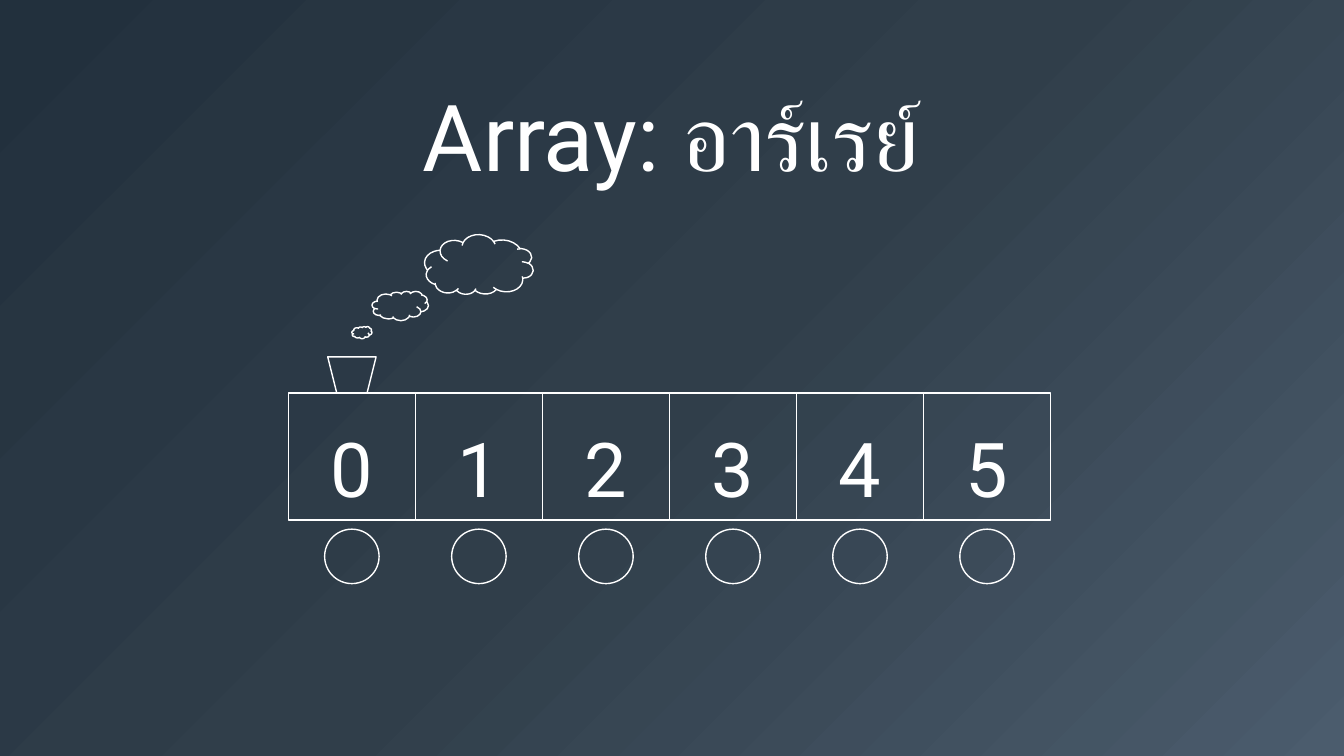
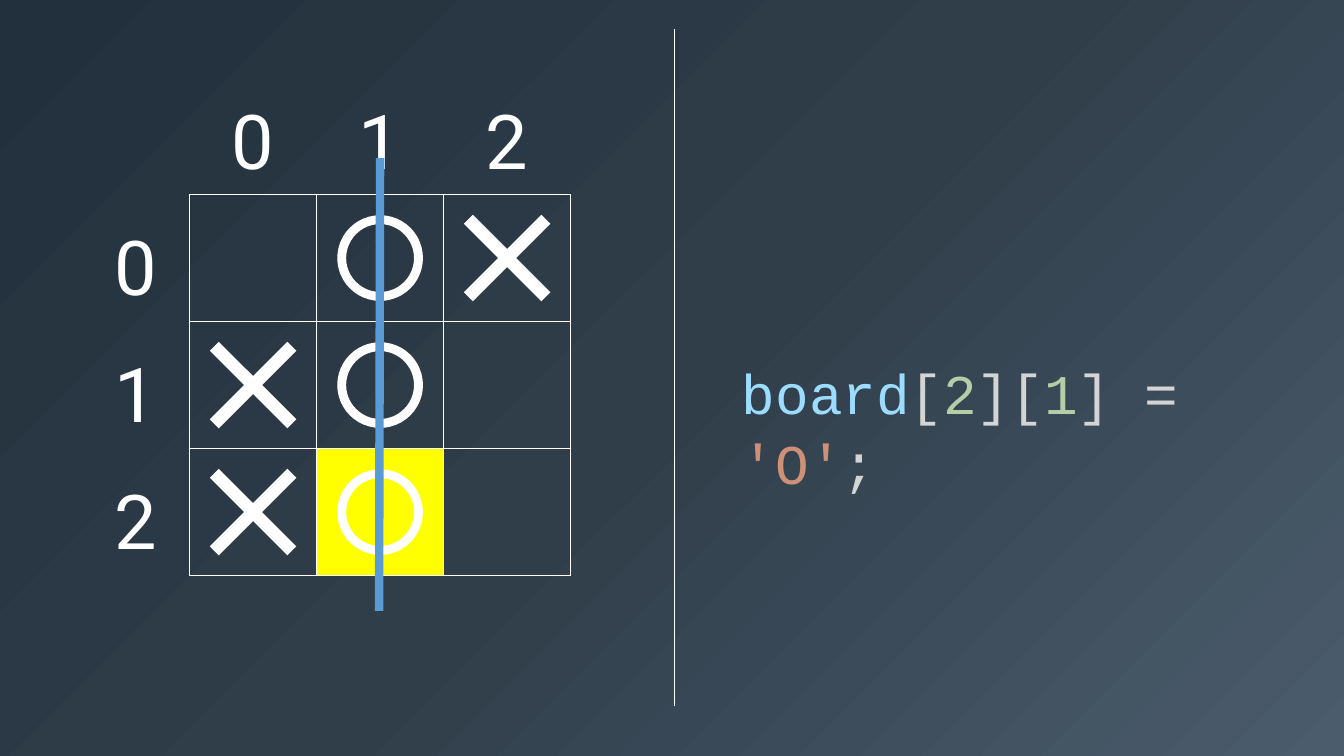
from pptx import Presentation
from pptx.dml.color import RGBColor
from pptx.enum.shapes import MSO_CONNECTOR, MSO_SHAPE
from pptx.enum.text import MSO_ANCHOR, PP_ALIGN
from pptx.oxml import parse_xml
from pptx.oxml.ns import nsdecls, qn
from pptx.util import Inches, Pt
from lxml import etree

# Shared look
WHITE, YELLOW, BLUE = "FFFFFF", "FFFF00", "5B9BD5"
VARIABLE, PUNCT, NUMBER, STRING = "9CDCFE", "D4D4D4", "B5CEA8", "CE9178"
GRADIENT = [(0, "4B5C6D"), (49, "303E4A"), (100, "22303D")]
FONT, CODE_FONT = "Roboto", "Courier New"
CELL = 1.26
DIGIT_W, DIGIT_H = 0.65, 1.01


def color(value):
    return RGBColor.from_string(value)


def set_background(master):
    """Give every slide the radial gradient, centred bottom right."""
    stops = "".join(
        f'<a:gs pos="{pos * 1000}"><a:srgbClr val="{value}"/></a:gs>'
        for pos, value in GRADIENT)
    bg = parse_xml(
        f'<p:bg {nsdecls("p", "a")}><p:bgPr><a:gradFill rotWithShape="1">'
        f'<a:gsLst>{stops}</a:gsLst><a:path path="circle">'
        '<a:fillToRect l="100000" t="100000"/></a:path></a:gradFill>'
        '<a:effectLst/></p:bgPr></p:bg>')
    c_sld = master.element.find(qn("p:cSld"))
    old = c_sld.find(qn("p:bg"))
    if old is not None:
        c_sld.remove(old)
    c_sld.insert(0, bg)


def write(tf, runs, size, font=FONT, align=PP_ALIGN.LEFT, wrap=True,
          anchor=MSO_ANCHOR.TOP, spacing=None):
    """Fill a text frame with one paragraph of (text, colour) runs."""
    tf.word_wrap = wrap
    tf.vertical_anchor = anchor
    p = tf.paragraphs[0]
    p.alignment = align
    p.line_spacing = spacing
    for text, value in runs:
        r = p.add_run()
        r.text = text
        r.font.size = Pt(size)
        r.font.name = font
        r.font.color.rgb = color(value)


def add_shape(shapes, kind, x, y, w, h, fill=None, line=None, adj=None,
              rotation=0):
    sp = shapes.add_shape(kind, Inches(x), Inches(y), Inches(w), Inches(h))
    sp.shadow.inherit = False
    sp.rotation = rotation
    if fill:
        sp.fill.solid()
        sp.fill.fore_color.rgb = color(fill)
    else:
        sp.fill.background()
    if line:
        sp.line.color.rgb = color(line)
        sp.line.width = Pt(1)
    else:
        sp.line.fill.background()
    if adj is not None:
        sp.adjustments[0] = adj
    return sp


def add_line(s, x1, y1, x2, y2, value, width):
    line = s.shapes.add_connector(MSO_CONNECTOR.STRAIGHT, Inches(x1),
                                  Inches(y1), Inches(x2), Inches(y2))
    line.line.color.rgb = color(value)
    line.line.width = Pt(width)
    etree.SubElement(line._element.spPr, qn("a:effectLst"))


def add_digit(s, number, x, y):
    box = s.shapes.add_textbox(Inches(x), Inches(y), Inches(DIGIT_W),
                               Inches(DIGIT_H))
    write(box.text_frame, [(str(number), WHITE)], 54,
          align=PP_ALIGN.CENTER, wrap=False)


def add_title(s, text, x, y, w, h):
    title = s.shapes.title
    title.left, title.top = Inches(x), Inches(y)
    title.width, title.height = Inches(w), Inches(h)
    write(title.text_frame, [(text, WHITE)], 66, align=PP_ALIGN.CENTER,
          anchor=MSO_ANCHOR.MIDDLE, spacing=0.9)


def add_train(s, x, y, count):
    """Numbered cars on wheels; (x, y) is the top left of the first car."""
    wheel = 0.54
    for i in range(count):
        left = x + i * CELL
        add_shape(s.shapes, MSO_SHAPE.RECTANGLE, left, y, CELL, CELL,
                  line=WHITE)
        add_digit(s, i, left + (CELL - DIGIT_W) / 2, y + 0.24)
        add_shape(s.shapes, MSO_SHAPE.OVAL, left + (CELL - wheel) / 2,
                  y + 1.35, wheel, wheel, line=WHITE)
    # Chimney and smoke
    add_shape(s.shapes, MSO_SHAPE.TRAPEZOID, x + 0.39, y - 0.36, 0.48, 0.36,
              line=WHITE, rotation=180)
    for dx, dy, w, h, turn in [(0.63, -0.66, 0.2, 0.12, 0),
                               (0.83, -1.01, 0.56, 0.29, 0),
                               (1.35, -1.57, 1.08, 0.6, 184.1)]:
        add_shape(s.shapes, MSO_SHAPE.CLOUD, x + dx, y + dy, w, h,
                  line=WHITE, rotation=turn)


def add_board(s, x, y, rows, highlight):
    """Game board with its indices; (x, y) is the top left of the grid."""
    marks = {"O": (MSO_SHAPE.DONUT, 0.85, 0.104),
             "X": (MSO_SHAPE.MATH_MULTIPLY, 1.48, 0.085)}
    # The highlight lies under the grid lines
    row, col = highlight
    add_shape(s.shapes, MSO_SHAPE.RECTANGLE, x + col * CELL, y + row * CELL,
              CELL, CELL, fill=YELLOW)
    grid = s.shapes.add_group_shape()
    for i, line in enumerate(rows):
        for j, mark in enumerate(line):
            left, top = x + j * CELL, y + i * CELL
            add_shape(grid.shapes, MSO_SHAPE.RECTANGLE, left, top, CELL, CELL,
                      line=WHITE)
            if mark in marks:
                kind, size, adj = marks[mark]
                inset = (CELL - size) / 2
                add_shape(s.shapes, kind, left + inset, top + inset, size,
                          size, fill=WHITE, adj=adj)
    # Column and row indices
    for i in range(len(rows)):
        add_digit(s, i, x + i * CELL + (CELL - DIGIT_W) / 2, y - 1.05)
        add_digit(s, i, x - 0.86, y + i * CELL + 0.2)


def add_code(s, runs, x, y, w, h):
    box = s.shapes.add_textbox(Inches(x), Inches(y), Inches(w), Inches(h))
    write(box.text_frame, runs, 40, font=CODE_FONT, spacing=1.05)


def array_slide(prs):
    s = prs.slides.add_slide(prs.slide_layouts[5])
    add_title(s, "Array: อาร์เรย์", 1.55, 0.54, 10.21, 1.72)
    add_train(s, 2.86, 3.9, 6)


def board_slide(prs):
    s = prs.slides.add_slide(prs.slide_layouts[6])
    add_board(s, 1.88, 1.93, [" OX", "XO ", "XO "], highlight=(2, 1))
    add_line(s, 6.69, 0.29, 6.69, 7, WHITE, 0.5)
    add_code(s, [("board", VARIABLE), ("[", PUNCT), ("2", NUMBER),
                 ("][", PUNCT), ("1", NUMBER), ("] = ", PUNCT),
                 ("'O'", STRING), (";", PUNCT)], 7.26, 3.47, 5.76, 0.77)
    # Winning stroke
    add_line(s, 3.77, 1.57, 3.76, 6.06, BLUE, 6)


def main():
    prs = Presentation()
    prs.slide_width, prs.slide_height = Inches(13.33), Inches(7.5)
    set_background(prs.slide_master)
    array_slide(prs)
    board_slide(prs)
    prs.save("out.pptx")


if __name__ == "__main__":
    main()
